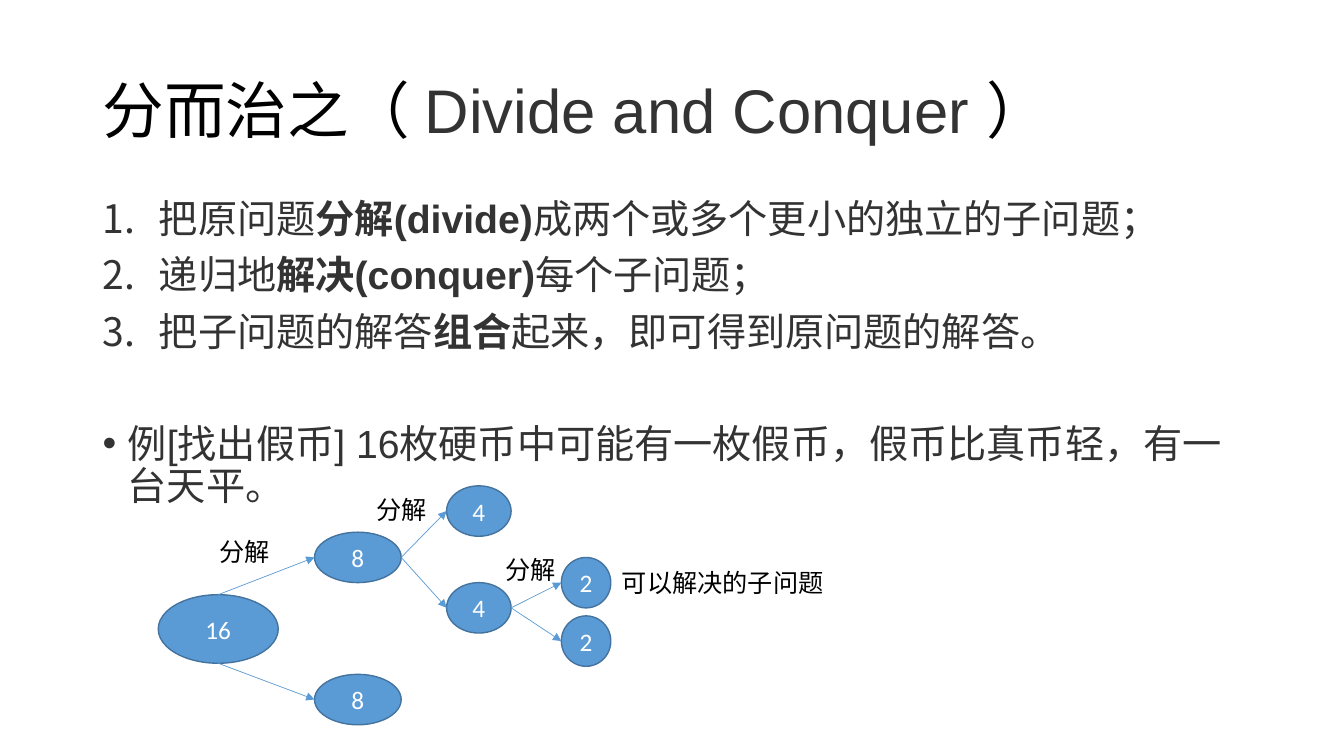
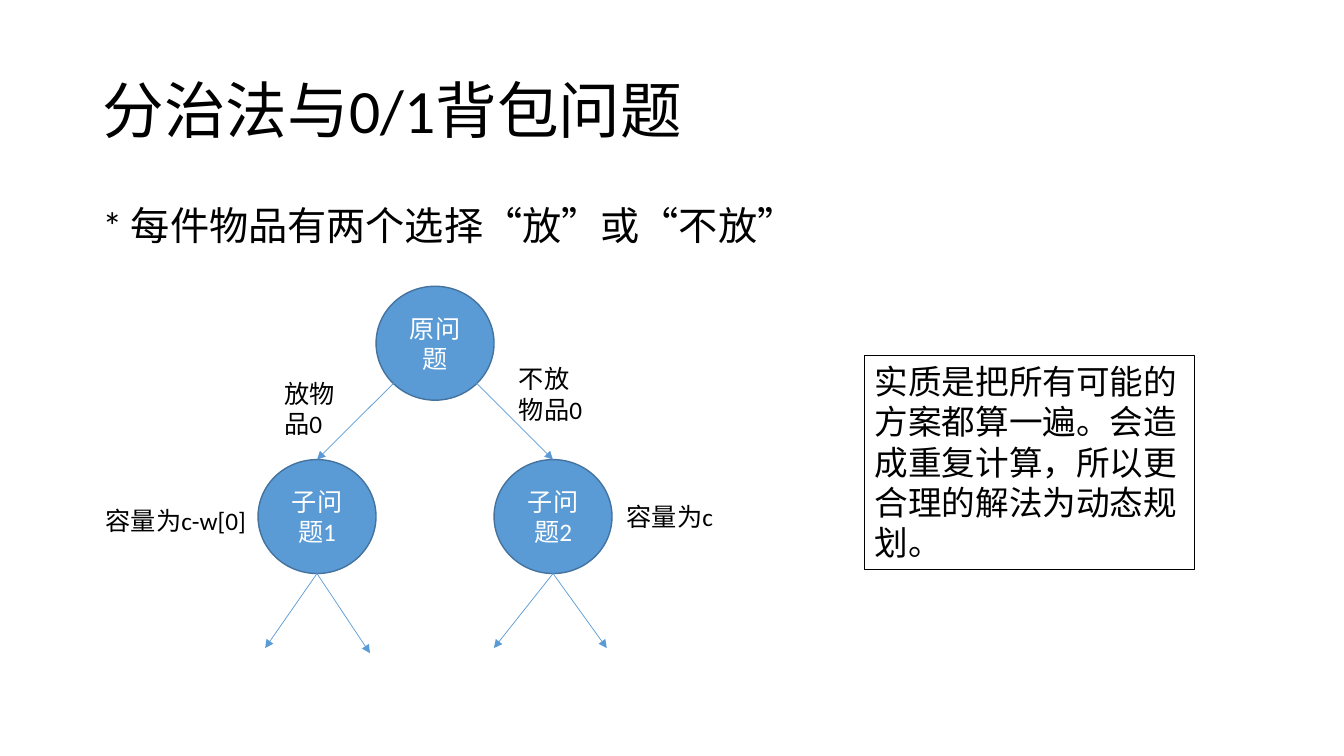
from dataclasses import dataclass
from enum import Enum
from typing import Any, NamedTuple

from lxml.etree import SubElement
from pptx import Presentation
from pptx.dml.color import RGBColor as RGB
from pptx.enum.shapes import MSO_CONNECTOR as CONN, MSO_SHAPE as SHAPE
from pptx.enum.text import MSO_ANCHOR as ANCHOR, MSO_AUTO_SIZE as FIT, PP_ALIGN as ALIGN
from pptx.oxml.ns import qn
from pptx.util import Emu, Inches, Pt


@dataclass(frozen=True)
class Theme:
    ink: RGB = RGB(0x00, 0x00, 0x00)
    soft: RGB = RGB(0x33, 0x33, 0x33)
    paper: RGB = RGB(0xFF, 0xFF, 0xFF)
    node: RGB = RGB(0x5B, 0x9B, 0xD5)
    rim: RGB = RGB(0x43, 0x73, 0x9E)
    main: str = "Calibri"
    alt: str = "Arial"
    title: int = 44
    body: int = 28
    note: int = 24
    label: int = 18


T = Theme()
WIDTH, HEIGHT = Inches(13.333), Inches(7.5)


class Box(NamedTuple):
    """Percent of the slide's width and height."""
    x: float
    y: float
    w: float
    h: float

    def emu(self) -> list[Emu]:
        return [across(self.x), down(self.y), across(self.w), down(self.h)]


class Point(NamedTuple):
    x: float
    y: float


class Port(Enum):
    TOP = (0, -0.5)
    LEFT = (-0.5, 0)
    BOTTOM = (0, 0.5)
    RIGHT = (0.5, 0)
    LOWER_LEFT = (-0.35, 0.35)
    LOWER_RIGHT = (0.35, 0.35)


@dataclass(frozen=True)
class Node:
    text: str
    cx: float
    cy: float
    w: float
    h: float

    def box(self) -> Box:
        return Box(self.cx - self.w / 2, self.cy - self.h / 2, self.w, self.h)

    def port(self, port: Port) -> Point:
        dx, dy = port.value
        return Point(self.cx + dx * self.w, self.cy + dy * self.h)


class Label(NamedTuple):
    text: str
    box: Box


class Run(NamedTuple):
    text: str
    color: RGB = T.ink
    font: str = T.main
    bold: bool = False


class Item(NamedTuple):
    runs: list[Run]
    bullet: str = "buNone"
    indent: float = 0
    before: int = 10


BULLETS = {
    "buNone": (None, {}),
    "buAutoNum": ("+mj-lt", {"type": "arabicPeriod"}),
    "buChar": (T.alt, {"char": "•"}),
}
TITLE = Box(6.88, 5.33, 86.25, 19.33)


def across(share: float) -> Emu:
    return Emu(round(WIDTH * share / 100))


def down(share: float) -> Emu:
    return Emu(round(HEIGHT * share / 100))


def apply(target: Any, values: dict[str, Any]) -> None:
    for name, value in values.items():
        setattr(target, name, value)


def place(sp: Any, box: Box) -> None:
    apply(sp, dict(zip(("left", "top", "width", "height"), box.emu())))


def add_runs(p: Any, runs: list[Run], size: int) -> None:
    for run in runs:
        r = p.add_run()
        r.text = run.text
        apply(r.font, {"name": run.font, "size": Pt(size), "bold": run.bold})
        r.font.color.rgb = run.color


def set_bullet(p: Any, item: Item) -> None:
    pPr = p._p.get_or_add_pPr()
    pPr.set("marL", str(Inches(item.indent)))
    pPr.set("indent", str(-Inches(item.indent)))
    font, attrs = BULLETS[item.bullet]
    if font:
        SubElement(pPr, qn("a:buFont"), typeface=font)
    SubElement(pPr, qn(f"a:{item.bullet}"), attrs)


def add_slide(prs: Any, title: list[Run], body: Box, items: list[Item]) -> Any:
    s = prs.slides.add_slide(prs.slide_layouts[1])
    head, content = s.placeholders
    place(head, TITLE)
    place(content, body)
    for sp, anchor in ((head, ANCHOR.MIDDLE), (content, ANCHOR.TOP)):
        apply(sp.text_frame, {"word_wrap": True, "auto_size": FIT.NONE, "vertical_anchor": anchor})
    p = head.text_frame.paragraphs[0]
    apply(p, {"alignment": ALIGN.LEFT, "line_spacing": 0.9})
    add_runs(p, title, T.title)
    tf = content.text_frame
    for i, item in enumerate(items):
        p = tf.add_paragraph() if i else tf.paragraphs[0]
        apply(p, {"line_spacing": 0.9, "space_before": Pt(item.before)})
        set_bullet(p, item)
        add_runs(p, item.runs, T.body)
    return s


def add_node(s: Any, node: Node) -> None:
    sp = s.shapes.add_shape(SHAPE.OVAL, *node.box().emu())
    sp.shadow.inherit = False
    sp.fill.solid()
    sp.fill.fore_color.rgb = T.node
    sp.line.color.rgb = T.rim
    sp.line.width = Pt(1)
    tf = sp.text_frame
    apply(tf, {"word_wrap": True, "vertical_anchor": ANCHOR.MIDDLE})
    p = tf.paragraphs[0]
    p.alignment = ALIGN.CENTER
    add_runs(p, [Run(node.text, T.paper)], T.label)


def add_arrow(s: Any, start: Point, end: Point) -> None:
    cn = s.shapes.add_connector(
        CONN.STRAIGHT, across(start.x), down(start.y), across(end.x), down(end.y))
    cn.line.color.rgb = T.node
    cn.line.width = Pt(0.5)
    spPr = cn.element.spPr
    SubElement(spPr.find(qn("a:ln")), qn("a:tailEnd"), type="triangle")
    SubElement(spPr, qn("a:effectLst"))


def add_label(s: Any, label: Label, size: int = T.label) -> Any:
    sp = s.shapes.add_textbox(*label.box.emu())
    tf = sp.text_frame
    apply(tf, {"word_wrap": True, "auto_size": FIT.SHAPE_TO_FIT_TEXT})
    add_runs(tf.paragraphs[0], [Run(label.text)], size)
    return sp


def draw_tree(s: Any, nodes: list[Node], arrows: list[tuple[Point, Point]],
              labels: list[Label]) -> None:
    for node in nodes:
        add_node(s, node)
    for start, end in arrows:
        add_arrow(s, start, end)
    for label in labels:
        add_label(s, label)


def soft(text: str, bold: bool = False) -> Run:
    return Run(text, T.soft, T.alt, bold)


def divide_slide(prs: Any) -> None:
    steps = [
        ("把原问题", "分解(divide)", "成两个或多个更小的独立的子问题；"),
        ("递归地", "解决(conquer)", "每个子问题；"),
        ("把子问题的解答", "组合", "起来，即可得到原问题的解答。"),
    ]
    items = [Item([soft(a), soft(key, True), soft(b)], "buAutoNum", 0.56) for a, key, b in steps]
    example = "例[找出假币] 16枚硬币中可能有一枚假币，假币比真币轻，有一台天平。"
    items.append(Item([soft(example)], "buChar", 0.25, 50))
    title = [Run("分而治之（"), soft(" Divide and Conquer "), Run("）")]
    s = add_slide(prs, title, Box(6.88, 25.73, 86.25, 70.8), items)

    root = Node("16", 16.24, 83.2, 8.93, 9.07)
    eights = [Node("8", 26.63, cy, 6.45, 6.67) for cy in (73.73, 92.53)]
    fours = [Node("4", 35.63, cy, 4.8, 6.67) for cy in (67.6, 80.4)]
    twos = [Node("2", 43.61, cy, 3.68, 6.67) for cy in (77.07, 84.8)]
    splits = [
        (root, Port.TOP, eights[:1]),
        (root, Port.BOTTOM, eights[1:]),
        (eights[0], Port.RIGHT, fours),
        (fours[1], Port.RIGHT, twos),
    ]
    arrows = [(parent.port(port), child.port(Port.LEFT))
              for parent, port, children in splits for child in children]
    spots = [(15.6, 70.27), (27.3, 64.67), (36.9, 72.67)]
    labels = [Label("分解", Box(x, y, 6, 5.33)) for x, y in spots]
    labels.append(Label("可以解决的子问题", Box(45.53, 74.4, 17.03, 5.33)))
    draw_tree(s, [root, *eights, *fours, *twos], arrows, labels)


def knapsack_slide(prs: Any) -> None:
    s = add_slide(prs, [Run("分治法与0/1背包问题")], Box(6.88, 26.67, 86.25, 63.47),
                  [Item([Run("* 每件物品有两个选择“放”或“不放”")])])
    w, h = 8.78, 15.07
    root = Node("原问题", 32.37, 45.4, w, h)
    left, right = (Node(f"子问题{i}", root.cx + side * w, 68.33, w, h)
                   for i, side in ((1, -1), (2, 1)))
    arrows = [(root.port(Port.LOWER_LEFT), left.port(Port.TOP)),
              (root.port(Port.LOWER_RIGHT), right.port(Port.TOP))]
    tips = {left: [(19.73, 85.73), (27.53, 86.4)], right: [(36.75, 85.73), (45.15, 85.73)]}
    arrows += [(node.port(Port.BOTTOM), Point(*tip)) for node, ends in tips.items() for tip in ends]
    labels = [
        Label("放物品0", Box(20.4, 49.33, 6.45, 9.47)),
        Label("不放物品0", Box(37.88, 47.47, 6.45, 9.47)),
        Label("容量为c-w[0]", Box(7.13, 66.13, 13.28, 5.33)),
        Label("容量为c", Box(45.9, 65.6, 13.28, 5.33)),
    ]
    draw_tree(s, [left, root, right], arrows, labels)
    text = "实质是把所有可能的方案都算一遍。会造成重复计算，所以更合理的解法为动态规划。"
    note = add_label(s, Label(text, Box(64.35, 47.07, 24.53, 28.27)), T.note)
    note.line.color.rgb = T.ink
    note.line.width = Pt(0.75)


def main() -> None:
    prs = Presentation()
    apply(prs, {"slide_width": WIDTH, "slide_height": HEIGHT})
    divide_slide(prs)
    knapsack_slide(prs)
    prs.save("out.pptx")


if __name__ == "__main__":
    main()
